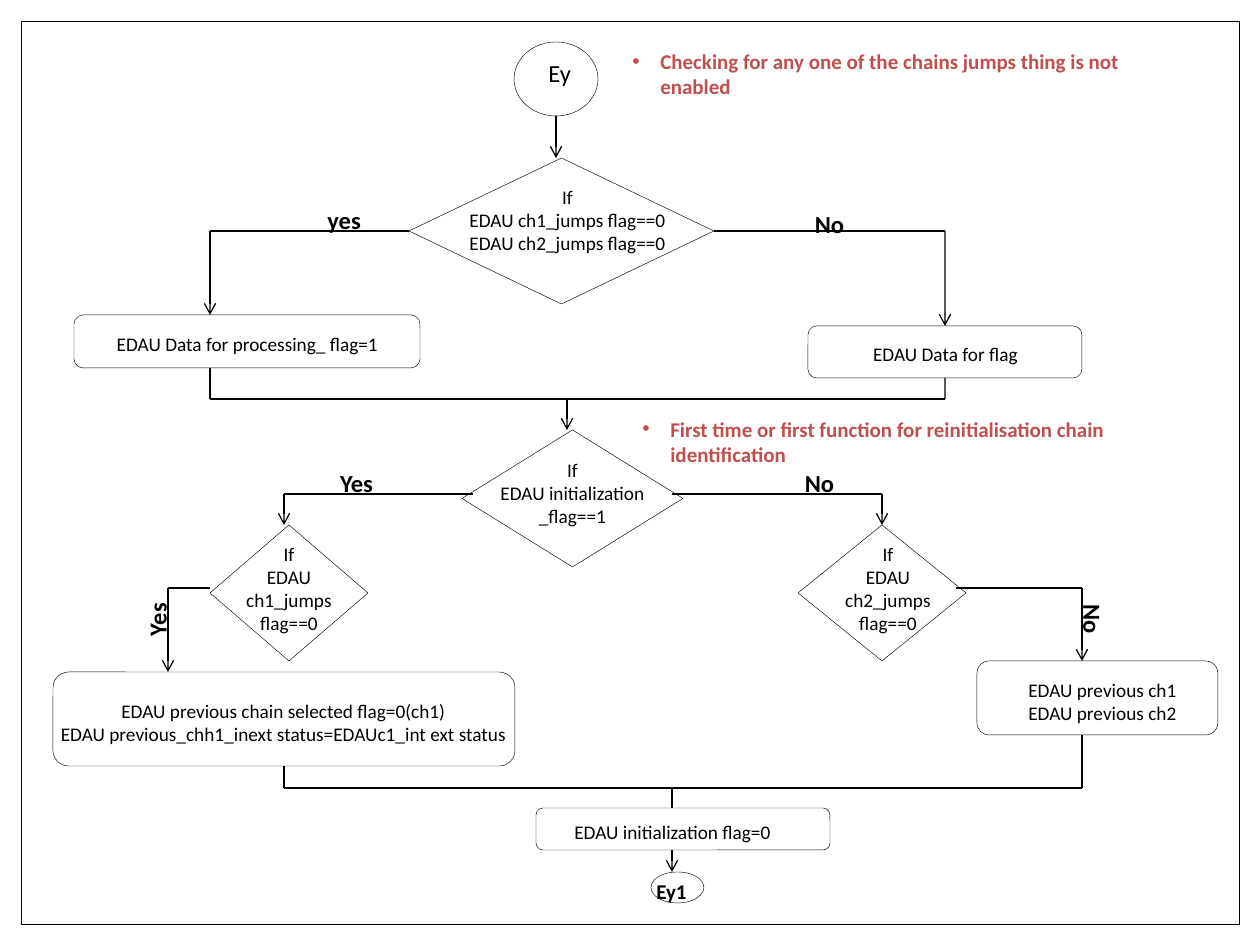
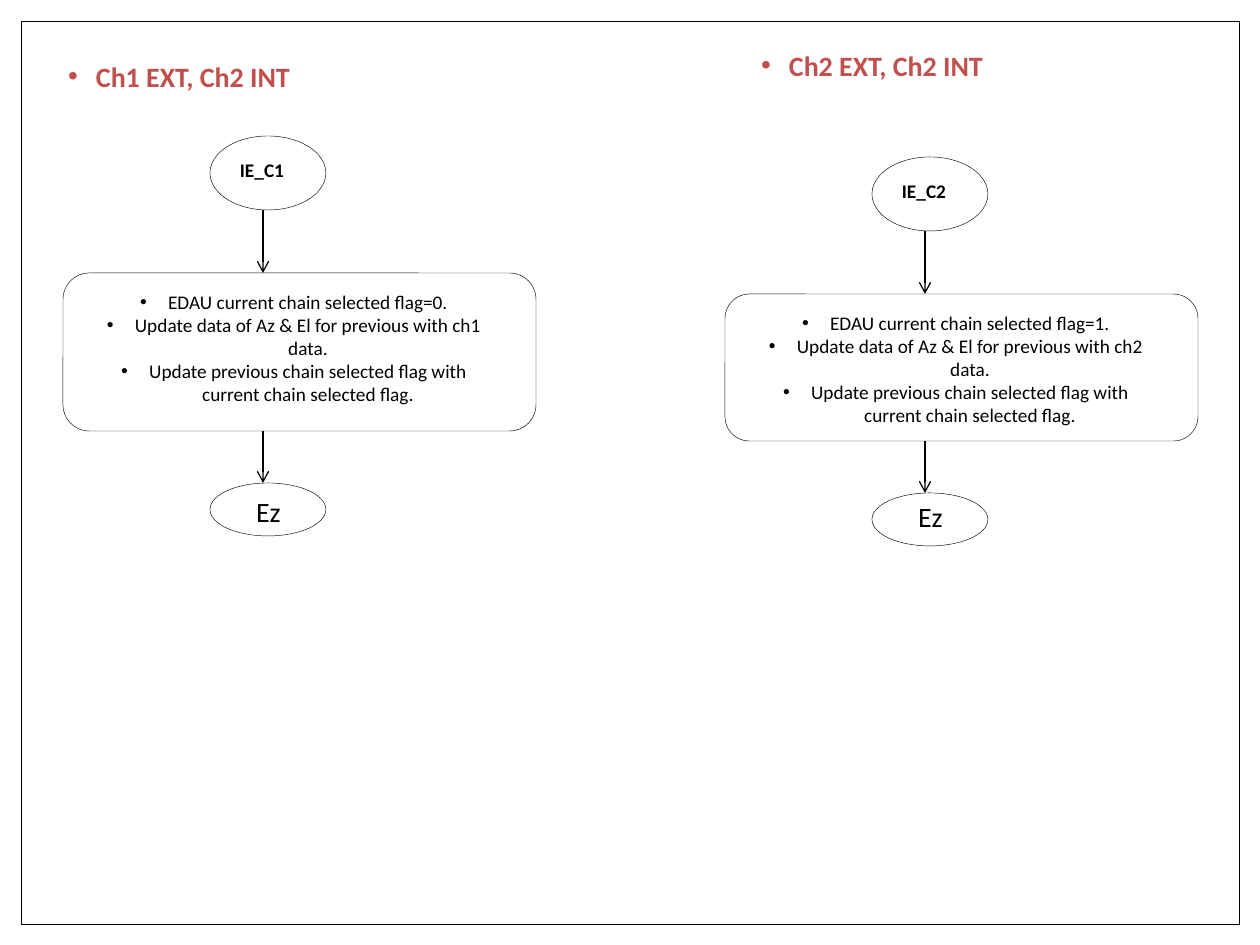
"""Builds two flowchart slides on EDAU chain selection."""
from lxml import etree
from pptx import Presentation
from pptx import util as u
from pptx.dml.color import RGBColor
from pptx.enum import shapes, text
from pptx.oxml.ns import qn

BLACK = RGBColor(0x00, 0x00, 0x00)
RED = RGBColor(0xC0, 0x50, 0x4D)
FONT = "Calibri"
PX_PER_INCH = 126
BULLET_INDENT = 28
TOP, LEFT, BOTTOM, RIGHT = range(4)
FRAME = shapes.MSO_SHAPE.RECTANGLE
TERMINAL = shapes.MSO_SHAPE.OVAL
DECISION = shapes.MSO_SHAPE.FLOWCHART_DECISION
PROCESS = shapes.MSO_SHAPE.ROUNDED_RECTANGLE
CENTER = text.PP_ALIGN.CENTER


def px(length):
    return u.Inches(length / PX_PER_INCH)


def add_outline(slide, kind, *box):
    outline = slide.shapes.add_shape(kind, *map(px, box))
    outline.shadow.inherit = False
    outline.fill.background()
    outline.line.color.rgb = BLACK
    outline.line.width = u.Pt(0.25)
    return outline


def add_bullet(paragraph, color):
    props = paragraph._p.get_or_add_pPr()
    props.set("marL", str(px(BULLET_INDENT)))
    props.set("indent", str(-px(BULLET_INDENT)))
    bullet_color = etree.SubElement(props, qn("a:buClr"))
    etree.SubElement(bullet_color, qn("a:srgbClr"), val=str(color))
    etree.SubElement(props, qn("a:buFont"), typeface="Arial")
    etree.SubElement(props, qn("a:buChar"), char="•")


def add_text(slide, box, *lines, size=11, bold=False, color=BLACK,
             align=CENTER, bullet=False, rotation=0):
    label = slide.shapes.add_textbox(*map(px, box))
    label.rotation = rotation
    frame = label.text_frame
    frame.word_wrap = True
    frame.auto_size = text.MSO_AUTO_SIZE.SHAPE_TO_FIT_TEXT
    for index, line in enumerate(lines):
        paragraph = frame.add_paragraph() if index else frame.paragraphs[0]
        paragraph.alignment = align
        if bullet:
            add_bullet(paragraph, color)
        run = paragraph.add_run()
        run.text = line
        run.font.name = FONT
        run.font.size = u.Pt(size)
        run.font.bold = bold
        run.font.color.rgb = color


def add_branch_label(slide, left, top, answer, **style):
    add_text(slide, (left, top, 63, 43), answer, size=14, bold=True, **style)


def add_note(slide, box, note, **style):
    add_text(slide, box, note, bold=True, color=RED, bullet=True, **style)


def is_point(stop):
    return isinstance(stop[0], int)


def add_link(slide, start, end, arrow):
    begin_point, end_point = (stop if is_point(stop) else (0, 0) for stop in (start, end))
    link = slide.shapes.add_connector(
        shapes.MSO_CONNECTOR.STRAIGHT, *map(px, (*begin_point, *end_point)))
    if not is_point(start):
        link.begin_connect(*start)
    if not is_point(end):
        link.end_connect(*end)
    link.line.color.rgb = BLACK
    link.line.width = u.Pt(0.75)
    if arrow:
        etree.SubElement(link.line._get_or_add_ln(), qn("a:tailEnd"), type="arrow")
    etree.SubElement(link._element.spPr, qn("a:effectLst"))


def add_route(slide, *stops, arrow=True):
    """Link the stops, each an (x, y) point or a (shape, side) pair."""
    last = len(stops) - 2
    for index, (start, end) in enumerate(zip(stops, stops[1:])):
        add_link(slide, start, end, arrow and index == last)


def add_framed_slide(deck):
    slide = deck.slides.add_slide(deck.slide_layouts[6])
    add_outline(slide, FRAME, 21, 21, 1218, 903)
    return slide


def draw_jump_check(slide):
    add_outline(slide, TERMINAL, 514, 42, 84, 74)
    add_text(slide, (536, 52, 63, 43), "Ey", size=14, align=text.PP_ALIGN.LEFT)
    jumps = add_outline(slide, DECISION, 409, 158, 305, 146)
    add_text(slide, (452, 179, 231, 82), "If",
             "EDAU ch1_jumps flag==0", "EDAU ch2_jumps flag==0")
    add_outline(slide, PROCESS, 74, 315, 346, 53)
    add_text(slide, (95, 326, 305, 37), "EDAU Data for processing_ flag=1")
    data_flag = add_outline(slide, PROCESS, 808, 326, 274, 52)
    add_text(slide, (851, 336, 189, 37), "EDAU Data for flag")

    add_route(slide, (556, 116), (556, 158))
    add_route(slide, (jumps, LEFT), (210, 231), (210, 315))
    add_route(slide, (jumps, RIGHT), (945, 231), (data_flag, TOP))
    add_route(slide, (210, 368), (210, 399), (945, 399), (data_flag, BOTTOM), arrow=False)
    add_route(slide, (567, 399), (567, 430))
    add_branch_label(slide, 315, 199, "yes", align=text.PP_ALIGN.LEFT)
    add_branch_label(slide, 798, 203, "No")
    add_note(slide, (620, 42, 567, 63), size=12, align=text.PP_ALIGN.LEFT,
             note="Checking for any one of the chains jumps thing is not enabled")


def draw_initialization(slide):
    add_outline(slide, DECISION, 462, 430, 221, 137)
    add_text(slide, (483, 452, 179, 82), "If", "EDAU initialization", "_flag==1")
    add_outline(slide, DECISION, 210, 525, 158, 136)
    add_text(slide, (231, 536, 116, 106), "If", "EDAU ch1_jumps flag==0")
    ch2_jumps = add_outline(slide, DECISION, 798, 525, 168, 136)
    add_text(slide, (830, 536, 116, 106), "If", "EDAU ch2_jumps flag==0")
    add_outline(slide, PROCESS, 977, 661, 241, 74)
    add_text(slide, (1008, 672, 189, 59), "EDAU previous ch1", "EDAU previous ch2")
    chain_selected = add_outline(slide, PROCESS, 53, 672, 462, 94)
    add_text(slide, (42, 693, 483, 59), "EDAU previous chain selected flag=0(ch1)",
             "EDAU previous_chh1_inext status=EDAUc1_int ext status")
    add_outline(slide, PROCESS, 536, 808, 294, 42)
    add_text(slide, (557, 814, 231, 37), "EDAU initialization flag=0")
    add_outline(slide, TERMINAL, 651, 872, 53, 31)
    add_text(slide, (640, 872, 63, 38), "Ey1", size=12, bold=True)

    add_route(slide, (473, 494), (284, 494), (284, 525))
    add_route(slide, (672, 494), (882, 494), (ch2_jumps, TOP))
    add_route(slide, (210, 588), (168, 588), (168, 672))
    add_route(slide, (956, 588), (1082, 588), (1082, 661))
    add_route(slide, (chain_selected, BOTTOM), (284, 788), (1082, 788), (1082, 735),
              arrow=False)
    add_route(slide, (672, 788), (672, 808), arrow=False)
    add_route(slide, (672, 850), (672, 872))
    add_branch_label(slide, 325, 462, "Yes")
    add_branch_label(slide, 788, 462, "No")
    add_branch_label(slide, 126, 598, "Yes", rotation=270)
    add_branch_label(slide, 1061, 598, "No", rotation=90)
    add_note(slide, (630, 410, 546, 63), size=12, align=text.PP_ALIGN.LEFT,
             note="First time or first function for reinitialisation chain identification")


def draw_chain(slide, chain, left, top, update_height, ez_drop):
    update_top = top + 137
    update_bottom = update_top + update_height
    end_top = update_bottom + 52
    arrow_x = left + 53
    add_outline(slide, TERMINAL, left, top, 116, 74)
    add_text(slide, (left + 10, top + 16, 84, 37), f"IE_C{chain}", bold=True)
    add_outline(slide, PROCESS, left - 147, update_top, 473, update_height)
    add_text(slide, (left - 126, update_top + 11, 420, 129),
             f"EDAU current chain selected flag={chain - 1}.",
             f"Update data of Az & El for previous with ch{chain} data.",
             "Update previous chain selected flag with current chain selected flag.",
             bullet=True)
    add_outline(slide, TERMINAL, left, end_top, 116, 53)
    add_text(slide, (left + 32, end_top + ez_drop, 53, 46), "Ez", size=16)
    add_route(slide, (arrow_x, top + 74), (arrow_x, update_top))
    add_route(slide, (arrow_x, update_bottom), (arrow_x, end_top))


def main():
    deck = Presentation()
    deck.slide_width, deck.slide_height = u.Inches(10), u.Inches(7.5)

    flag_slide = add_framed_slide(deck)
    draw_jump_check(flag_slide)
    draw_initialization(flag_slide)

    chain_slide = add_framed_slide(deck)
    add_note(chain_slide, (53, 53, 252, 46), "Ch1 EXT, Ch2 INT", size=16)
    draw_chain(chain_slide, 1, left=210, top=136, update_height=158, ez_drop=5)
    add_note(chain_slide, (746, 42, 252, 46), "Ch2 EXT, Ch2 INT", size=16)
    draw_chain(chain_slide, 2, left=872, top=157, update_height=147, ez_drop=0)

    deck.save("out.pptx")


if __name__ == "__main__":
    main()
